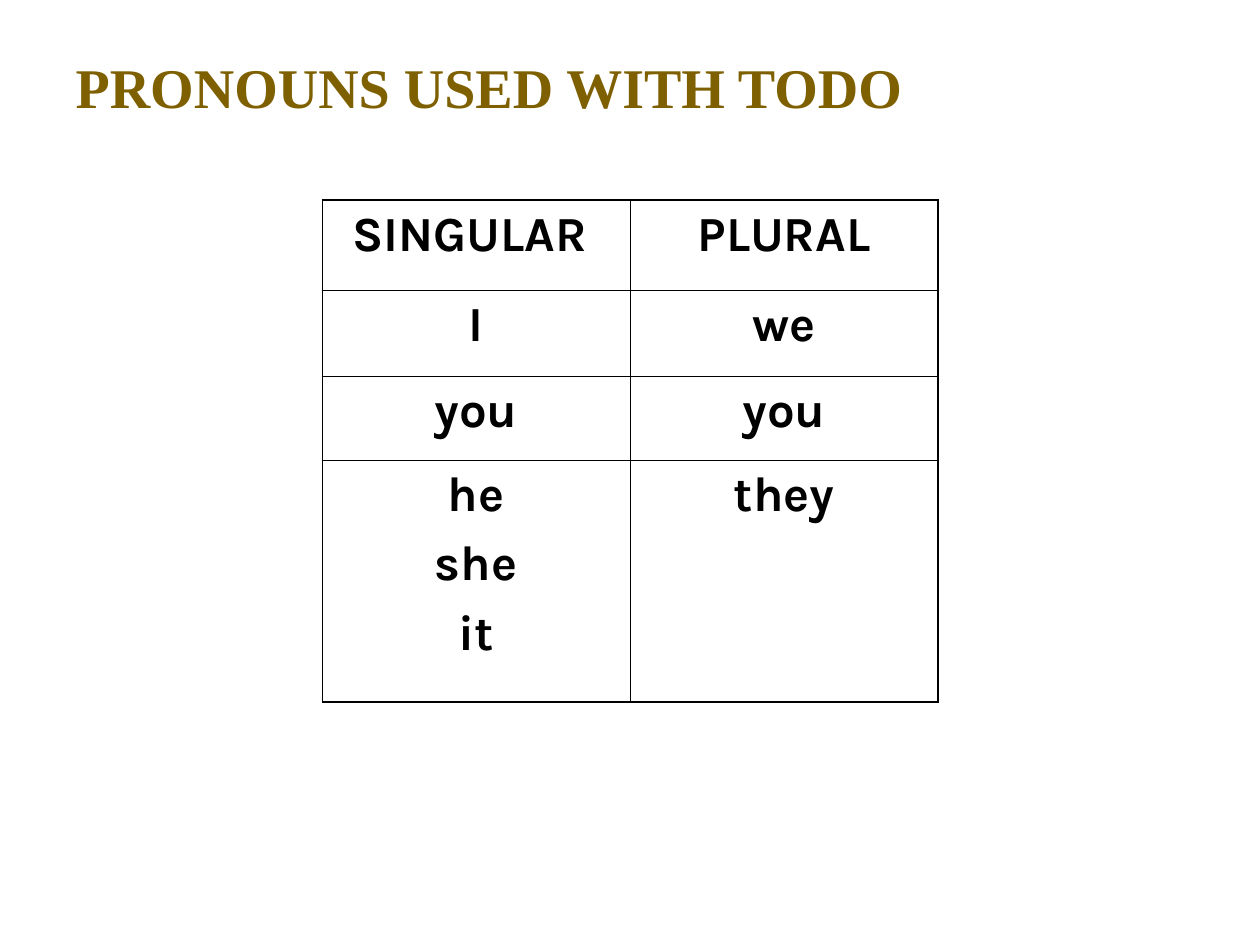
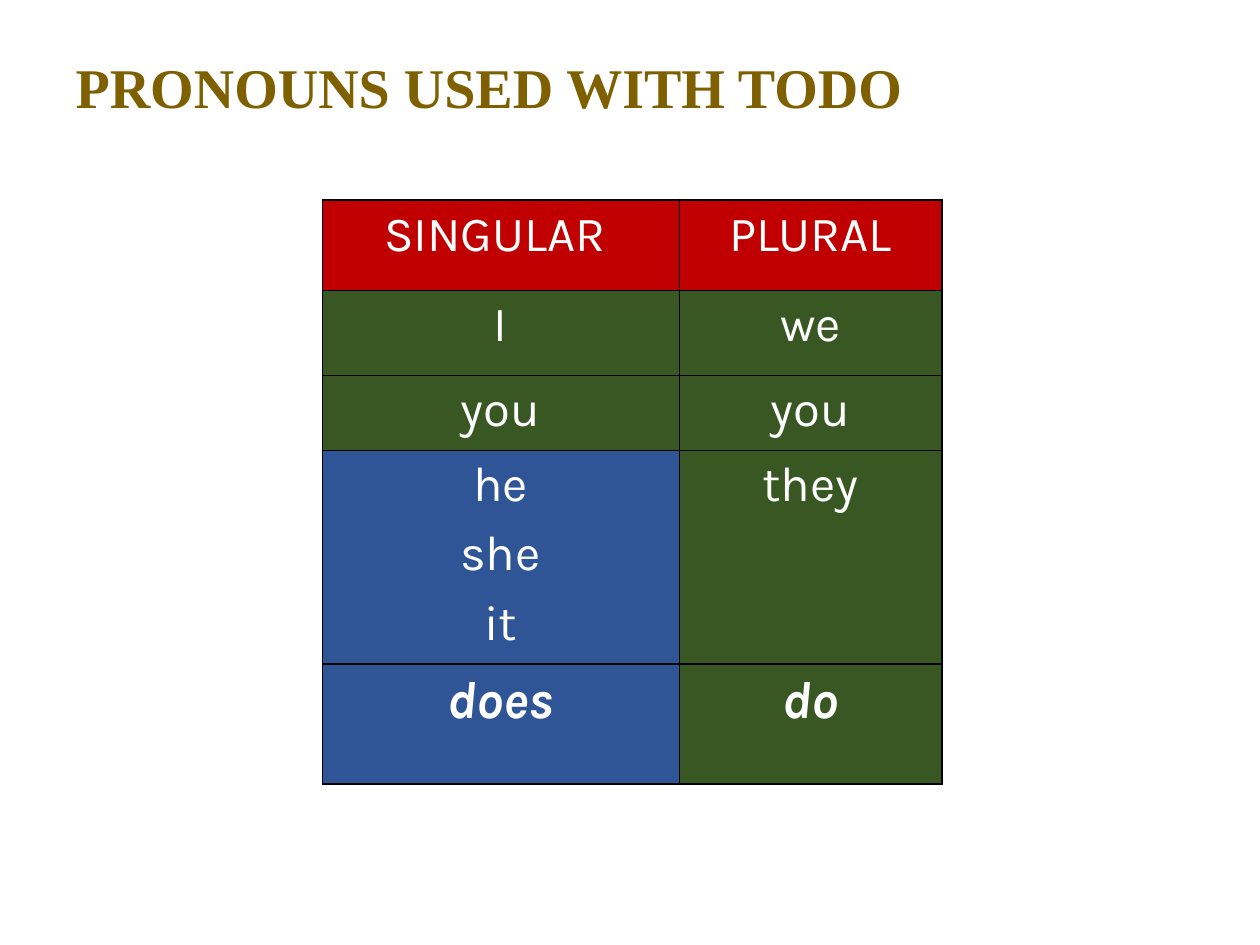
from lxml.etree import SubElement
from pptx import Presentation
from pptx.dml.color import RGBColor
from pptx.enum.text import MSO_ANCHOR, MSO_AUTO_SIZE, PP_ALIGN
from pptx.oxml.ns import qn
from pptx.util import Emu, Pt

PX = 914400 / 126
COLORS = {
    "title": "7F6000",
    "ink": "000000",
    "white": "FFFFFF",
    "header": "C00000",
    "do": "385723",
    "does": "2F5597",
}
TITLE_FONT = {"name": "Times New Roman", "size": Pt(32), "bold": True}
PRONOUN_FONT = {"name": "Karla", "size": Pt(28), "bold": False}
BOLD_FONT = PRONOUN_FONT | {"bold": True}
VERB_FONT = PRONOUN_FONT | {"size": Pt(30), "bold": True, "italic": True}
THIN, THICK = Pt(0.45), Pt(1.08)
THICK_ROW_EDGES = (0, 4, 5)

TITLE = "PRONOUNS USED WITH TODO"
PRONOUNS = [
    ("SINGULAR ", "PLURAL"),
    ("I", "we"),
    ("you", "you"),
    ("he\nshe\nit", "they"),
]
VERBS = ("does", "do")
VERB_FILLS = [("header", "header"), ("do", "do"), ("do", "do"), ("does", "do"), ("does", "do")]


def px(length):
    return Emu(round(length * PX))


class Slides:
    """Holds the deck, its shared style and the slide being built."""

    def __init__(self):
        self.deck = Presentation()
        self.deck.slide_width, self.deck.slide_height = px(1260), px(945)
        self.slide = None

    def format(self, font, values, color):
        for name, value in values.items():
            setattr(font, name, value)
        font.color.rgb = RGBColor.from_string(COLORS[color])

    def add_slide(self, title):
        self.slide = self.deck.slides.add_slide(self.deck.slide_layouts[5])
        box = self.slide.shapes.title
        box.left, box.top, box.width, box.height = map(px, (63, 63, 1177, 54))
        frame = box.text_frame
        frame.text = title
        frame.auto_size = MSO_AUTO_SIZE.NONE
        frame.vertical_anchor = MSO_ANCHOR.MIDDLE
        para = frame.paragraphs[0]
        para.alignment = PP_ALIGN.LEFT
        para.line_spacing = 0.9
        self.format(para.runs[0].font, TITLE_FONT, "title")

    def border(self, cell, widths):
        """Draw the sides of a cell, given as left, right, top and bottom widths."""
        properties = cell._tc.get_or_add_tcPr()
        for side, width in zip("LRTB", widths):
            line = SubElement(properties, qn(f"a:ln{side}"), w=str(int(width)))
            fill = SubElement(line, qn("a:solidFill"))
            SubElement(fill, qn("a:srgbClr"), val=COLORS["ink"])

    def fill_cell(self, cell, text, font, color, fill):
        if fill:
            cell.fill.solid()
            cell.fill.fore_color.rgb = RGBColor.from_string(COLORS[fill])
        else:
            cell.fill.background()
        cell.text = text
        for index, para in enumerate(cell.text_frame.paragraphs):
            para.alignment = PP_ALIGN.CENTER
            if index:
                para.space_before = Pt(7)
            self.format(para.runs[0].font, font, color)

    def add_table(self, rows, widths, heights, fonts, color, fills=None):
        frame = self.slide.shapes.add_table(
            len(rows), len(widths), px(322), px(200), px(sum(widths)), px(sum(heights)))
        table = frame.table
        table.first_row = table.horz_banding = False
        for column, width in zip(table.columns, widths):
            column.width = px(width)
        for r, (row, height) in enumerate(zip(rows, heights)):
            table.rows[r].height = px(height)
            top, bottom = (THICK if edge in THICK_ROW_EDGES else THIN for edge in (r, r + 1))
            for c, text in enumerate(row):
                cell = table.cell(r, c)
                right = THICK if c == len(row) - 1 else THIN
                self.border(cell, (THIN, right, top, bottom))
                self.fill_cell(cell, text, fonts[r], color, fills[r][c] if fills else None)


def main():
    slides = Slides()
    slides.add_slide(TITLE)
    slides.add_table(PRONOUNS, (308, 308), (90, 86, 84, 242),
                     [BOLD_FONT] * len(PRONOUNS), "ink")
    slides.add_slide(TITLE)
    slides.add_table(PRONOUNS + [VERBS], (357, 263), (90, 85, 75, 214, 120),
                     [PRONOUN_FONT] * len(PRONOUNS) + [VERB_FONT], "white", VERB_FILLS)
    slides.deck.save("out.pptx")


if __name__ == "__main__":
    main()
